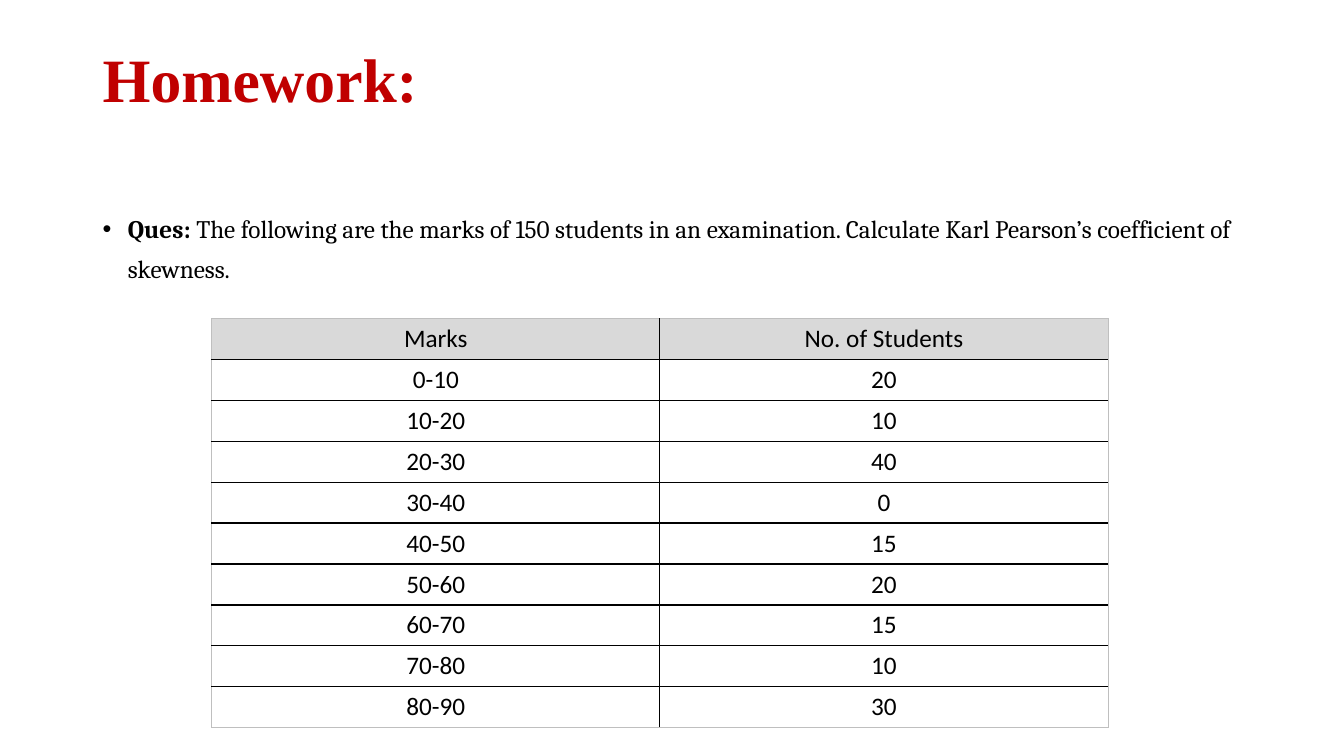
from dataclasses import dataclass

from lxml.etree import SubElement
from pptx import Presentation
from pptx.dml.color import RGBColor
from pptx.enum.text import PP_ALIGN as Align
from pptx.oxml.ns import qn
from pptx.slide import Slide
from pptx.table import _Cell as Cell
from pptx.text.text import Font
from pptx.util import Inches, Pt

BLACK, WHITE, RED = "000000", "FFFFFF", "C00000"
HEADER_GREY, EDGE_GREY = "D9D9D9", "BFBFBF"


@dataclass(frozen=True)
class TextRun:
    text: str
    size: float
    font: str
    color: str = BLACK
    bold: bool = False


@dataclass(frozen=True)
class TextBlock:
    top: float
    height: float
    top_inset: float
    line_spacing: float
    runs: tuple[TextRun, ...]
    bullet: bool = False


BLOCKS = (
    TextBlock(0.4, 1.45, 0.09, 0.9,
              (TextRun("Homework:", 44, "Times New Roman", RED, True),)),
    TextBlock(2, 4.76, 0.02, 1.32, (
        TextRun("Ques: ", 18, "Cambria", bold=True),
        TextRun("The following are the marks of 150 students in an examination. "
                "Calculate Karl Pearson’s coefficient of skewness.", 18, "Cambria"),
    ), bullet=True),
)
STUDENT_COUNTS = (20, 10, 40, 0, 15, 20, 15, 10, 30)
MARKS_TABLE = [("Marks", "No. of Students")] + [
    (f"{10 * index}-{10 * index + 10}", str(count))
    for index, count in enumerate(STUDENT_COUNTS)
]


def rgb(color: str) -> RGBColor:
    return RGBColor.from_string(color)


def style_font(font: Font, run: TextRun) -> None:
    font.name, font.size, font.bold = run.font, Pt(run.size), run.bold
    font.color.rgb = rgb(run.color)


def add_text_block(slide: Slide, block: TextBlock) -> None:
    box = slide.shapes.add_textbox(Inches(0.92), Inches(block.top),
                                   Inches(11.5), Inches(block.height))
    text_frame = box.text_frame
    text_frame.word_wrap = True
    text_frame.margin_top = Inches(block.top_inset)
    paragraph = text_frame.paragraphs[0]
    paragraph.line_spacing = block.line_spacing
    if block.bullet:
        properties = paragraph._p.get_or_add_pPr()
        properties.set("marL", str(Inches(0.25)))
        properties.set("indent", str(Inches(-0.25)))
        SubElement(properties, qn("a:buFont"), typeface="Arial")
        SubElement(properties, qn("a:buChar"), char="•")
    for item in block.runs:
        run = paragraph.add_run()
        run.text = item.text
        style_font(run.font, item)


def add_border(cell: Cell, side: str, outer: bool) -> None:
    width, color = (0.5, EDGE_GREY) if outer else (1, BLACK)
    line = SubElement(cell._tc.get_or_add_tcPr(), qn(f"a:ln{side}"), w=str(Pt(width)))
    fill = SubElement(line, qn("a:solidFill"))
    SubElement(fill, qn("a:srgbClr"), val=color)


def add_marks_table(slide: Slide) -> None:
    row_count, column_count = len(MARKS_TABLE), len(MARKS_TABLE[0])
    table = slide.shapes.add_table(row_count, column_count, Inches(2.1), Inches(3.16),
                                   Inches(8.89), Inches(4.06)).table
    table.first_row = table.horz_banding = False
    for row, values in enumerate(MARKS_TABLE):
        for column, value in enumerate(values):
            cell = table.cell(row, column)
            cell.text_frame.text = value
            paragraph = cell.text_frame.paragraphs[0]
            paragraph.alignment = Align.CENTER
            style_font(paragraph.runs[0].font, TextRun(value, 18, "Calibri"))
            add_border(cell, "L", column == 0)
            add_border(cell, "R", column == column_count - 1)
            add_border(cell, "T", row == 0)
            add_border(cell, "B", row == row_count - 1)
            cell.fill.solid()
            cell.fill.fore_color.rgb = rgb(WHITE if row else HEADER_GREY)


def main() -> None:
    presentation = Presentation()
    presentation.slide_width, presentation.slide_height = Inches(13.33), Inches(7.5)
    slide = presentation.slides.add_slide(presentation.slide_layouts[6])
    for block in BLOCKS:
        add_text_block(slide, block)
    add_marks_table(slide)
    presentation.save("out.pptx")


if __name__ == "__main__":
    main()
